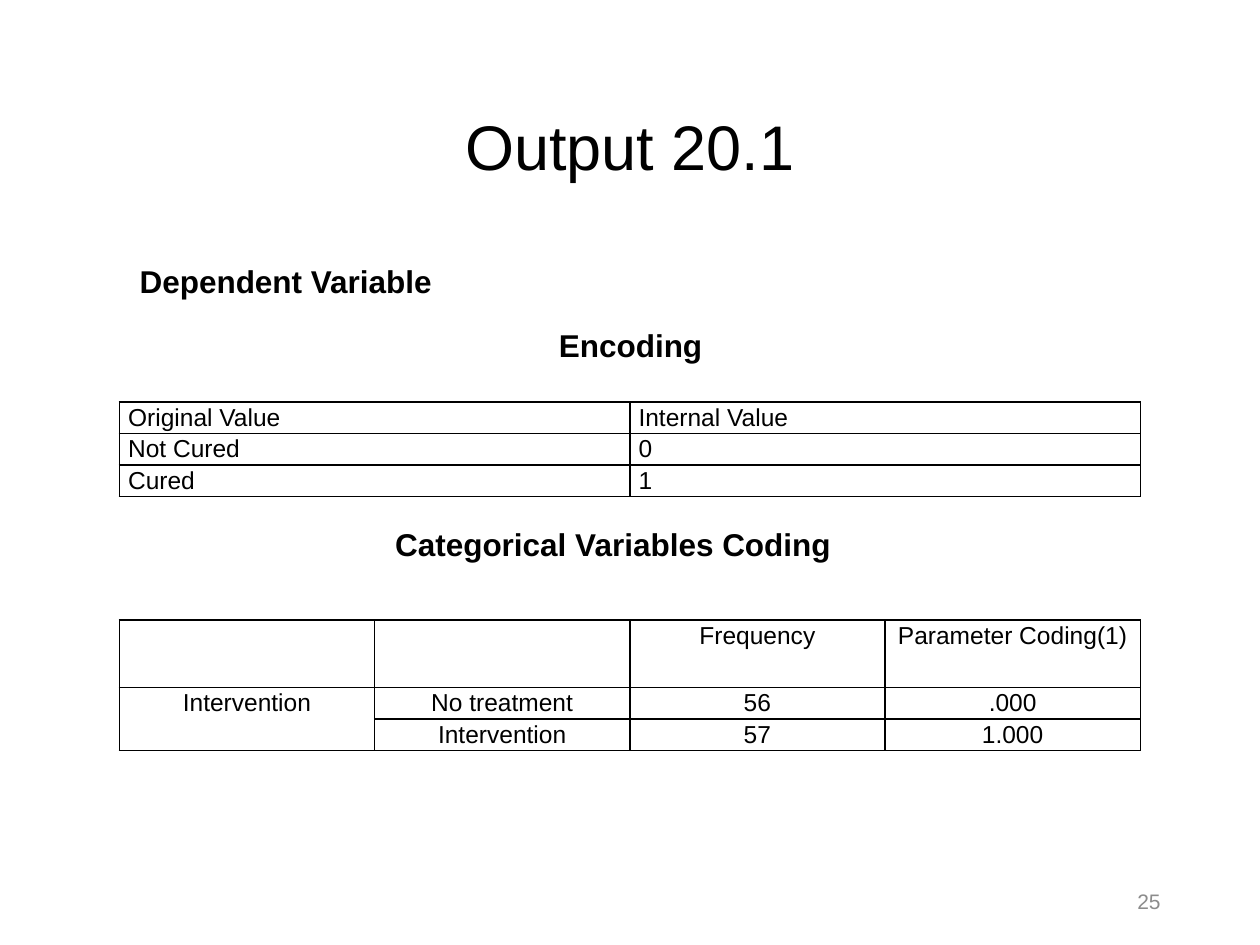
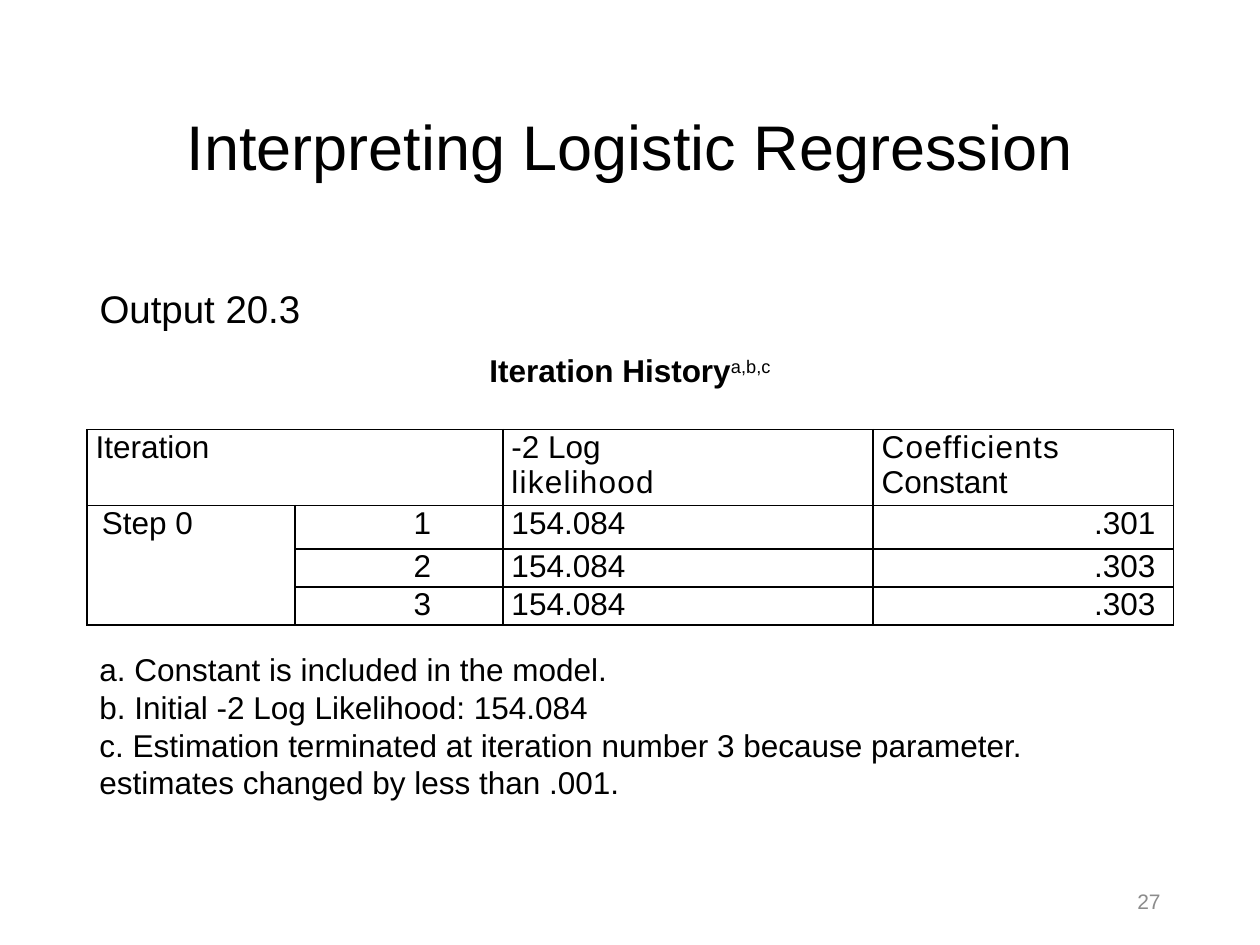
from dataclasses import dataclass, field
from typing import Any

from lxml import etree
from pptx import Presentation
from pptx.dml.color import RGBColor
from pptx.enum import text as enum_text
from pptx.oxml import ns
from pptx.util import Pt

# Shared style
FONT = "Arial"
BLACK, GREY = "000000", "8C8C8C"
LEFT, CENTER, RIGHT = (enum_text.PP_ALIGN.LEFT, enum_text.PP_ALIGN.CENTER,
                       enum_text.PP_ALIGN.RIGHT)
TOP, MIDDLE = enum_text.MSO_ANCHOR.TOP, enum_text.MSO_ANCHOR.MIDDLE
TITLE_BOX = (49.7, 33.8, 620.6, 104.4)
NUMBER_BOX = (508.3, 500.4, 162, 28.8)
CELL_INSET = 5


@dataclass
class Span:
    """A stretch of text; extra holds raw run attributes."""
    text: str
    bold: bool = False
    extra: dict[str, str] = field(default_factory=dict)


@dataclass
class Style:
    size: float
    color: str = BLACK
    align: Any = LEFT
    spacing: float = 1.0
    anchor: Any = TOP


@dataclass
class Label:
    box: tuple[float, float, float, float]
    lines: list[list[Span]]
    style: Style


@dataclass
class Grid:
    left: float
    top: float
    columns: list[float]
    rows: list[float]
    cells: list[list[str | list[Span]]]
    style: Style
    merges: list[tuple[int, int, int, int]] = field(default_factory=list)
    aligns: dict[tuple[int, int], Any] = field(default_factory=dict)
    insets: dict[tuple[int, int], dict[str, float]] = field(default_factory=dict)


HEADING = Style(18, align=CENTER)


def rgb(hex_color: str) -> RGBColor:
    return RGBColor.from_string(hex_color)


def apply(target: Any, values: dict[str, Any]) -> None:
    for name, value in values.items():
        setattr(target, name, value)


def plain(*lines: str) -> list[list[Span]]:
    return [[Span(line)] for line in lines]


def bold(line: str) -> list[list[Span]]:
    return [[Span(line, True)]]


# Text
def write(frame: Any, lines: list[list[Span]], style: Style, align: Any = None) -> None:
    for index, spans in enumerate(lines):
        paragraph = frame.add_paragraph() if index else frame.paragraphs[0]
        apply(paragraph, {"alignment": style.align if align is None else align,
                          "line_spacing": style.spacing,
                          "space_before": Pt(0), "space_after": Pt(0)})
        for span in spans:
            run = paragraph.add_run()
            run.text = span.text
            apply(run.font, {"name": FONT, "size": Pt(style.size), "bold": span.bold})
            run.font.color.rgb = rgb(style.color)
            for name, value in span.extra.items():
                run.font._element.set(name, value)


def fill_shape(shape: Any, label: Label) -> None:
    apply(shape, dict(zip(("left", "top", "width", "height"), map(Pt, label.box))))
    apply(shape.text_frame, {"word_wrap": True, "vertical_anchor": label.style.anchor,
                             "auto_size": enum_text.MSO_AUTO_SIZE.NONE})
    write(shape.text_frame, label.lines, label.style)


def add_label(slide: Any, label: Label) -> None:
    fill_shape(slide.shapes.add_textbox(*map(Pt, label.box)), label)


def remove_bullet(paragraph: Any) -> None:
    properties = paragraph._p.get_or_add_pPr()
    properties.set("marL", "0")
    properties.set("indent", "0")
    etree.SubElement(properties, ns.qn("a:buNone"))


# Tables
def add_borders(cell: Any, color: str = BLACK, width: float = 1) -> None:
    properties = cell._tc.get_or_add_tcPr()
    for side in ("lnL", "lnR", "lnT", "lnB"):
        line = etree.SubElement(properties, ns.qn(f"a:{side}"), w=str(Pt(width)))
        solid = etree.SubElement(line, ns.qn("a:solidFill"))
        etree.SubElement(solid, ns.qn("a:srgbClr"), val=str(rgb(color)))


def add_grid(slide: Any, grid: Grid) -> None:
    frame = slide.shapes.add_table(
        len(grid.rows), len(grid.columns), Pt(grid.left), Pt(grid.top),
        Pt(sum(grid.columns)), Pt(sum(grid.rows)))
    table = frame.table
    apply(table, {"first_row": False, "horz_banding": False})
    for column, width in zip(table.columns, grid.columns):
        column.width = Pt(width)
    for row, height in zip(table.rows, grid.rows):
        row.height = Pt(height)
    for r, contents in enumerate(grid.cells):
        for c, content in enumerate(contents):
            cell = table.cell(r, c)
            inset = {"margin_left": CELL_INSET, "margin_right": CELL_INSET,
                     "margin_top": 0, "margin_bottom": 0,
                     **grid.insets.get((r, c), {})}
            apply(cell, {name: Pt(value) for name, value in inset.items()})
            add_borders(cell)
            cell.fill.background()
            if content:
                lines = plain(content) if isinstance(content, str) else [
                    [span] for span in content]
                write(cell.text_frame, lines, grid.style, grid.aligns.get((r, c)))
    for top, left, bottom, right in grid.merges:
        table.cell(top, left).merge(table.cell(bottom, right))


def add_slide(deck: Any, layout: int, title: str, number: int) -> Any:
    slide = deck.slides.add_slide(deck.slide_layouts[layout])
    fill_shape(slide.shapes.title, Label(
        TITLE_BOX, plain(title), Style(36, align=CENTER, spacing=0.9, anchor=MIDDLE)))
    add_label(slide, Label(NUMBER_BOX, plain(str(number)),
                           Style(12, GREY, RIGHT, anchor=MIDDLE)))
    return slide


# Slide: variable codings
def build_codings(deck: Any) -> None:
    slide = add_slide(deck, 5, "Output 20.1", 25)
    width, height = 297.4, 28.8
    for left, top, heading, style in (
            (72.7, 146.2, "Dependent Variable", Style(18)),
            (211.7, 182.9, "Encoding", HEADING),
            (201.6, 296.6, "Categorical Variables Coding", HEADING)):
        add_label(slide, Label((left, top, width, height), bold(heading), style))

    left, total, row = 68.2, 583.4, 18
    add_grid(slide, Grid(
        left, 229.7, [total / 2] * 2, [row] * 3,
        [["Original Value", "Internal Value"], ["Not Cured", "0"], ["Cured", "1"]],
        Style(14, spacing=1.07)))
    add_grid(slide, Grid(
        left, 354.4, [total / 4] * 4, [38.6, row, row],
        [["", "", "Frequency", "Parameter Coding(1)"],
         ["Intervention", "No treatment", "56", ".000"],
         ["", "Intervention", "57", "1.000"]],
        Style(14, align=CENTER, spacing=1.07), merges=[(1, 0, 2, 0)]))


# Slide: iteration history
def build_iterations(deck: Any) -> None:
    slide = add_slide(deck, 1, "Interpreting Logistic Regression", 27)
    left, width = TITLE_BOX[0], TITLE_BOX[2]

    output_name = slide.placeholders[1]
    remove_bullet(output_name.text_frame.paragraphs[0])
    fill_shape(output_name, Label((left, 159.1, width, 38.2),
                                  plain("Output 20.3"), Style(22)))
    add_label(slide, Label(
        (245.5, 197.3, 229, 28.8),
        [[Span("Iteration History", True), Span("a,b,c", extra={"baseline": "30000"})]],
        HEADING))

    wide = {"spc": "70"}
    steps = range(1, 4)
    coefficients = [".301", ".303", ".303"]
    add_grid(slide, Grid(
        left, 245.5, [118.8, 118.8, 211.5, 171.9], [43.4, 24.8, 21.7, 21.7],
        [["Iteration", "", [Span("-2 Log"), Span("likelihood", extra=wide)],
          [Span("Coefficients", extra=wide), Span("Constant")]],
         *([("Step 0" if step == 1 else ""), str(step), "154.084", coefficient]
           for step, coefficient in zip(steps, coefficients))],
        Style(18), merges=[(0, 0, 0, 1), (1, 0, 3, 0)],
        aligns={(step, column): RIGHT for step in steps for column in (1, 3)},
        insets={(1, 0): {"margin_left": 8.6},
                **{(step, column): {"margin_right": inset} for step in steps
                   for column, inset in ((1, 41), (3, 10.5))}}))

    add_label(slide, Label((left, 367.9, width, 94.3), plain(
        "a. Constant is included in the model.",
        "b. Initial -2 Log Likelihood: 154.084",
        "c. Estimation terminated at iteration number 3 because parameter.",
        "estimates changed by less than .001."), Style(18)))


def main() -> None:
    deck = Presentation()
    apply(deck, {"slide_width": Pt(720), "slide_height": Pt(540)})
    build_codings(deck)
    build_iterations(deck)
    deck.save("out.pptx")


if __name__ == "__main__":
    main()
